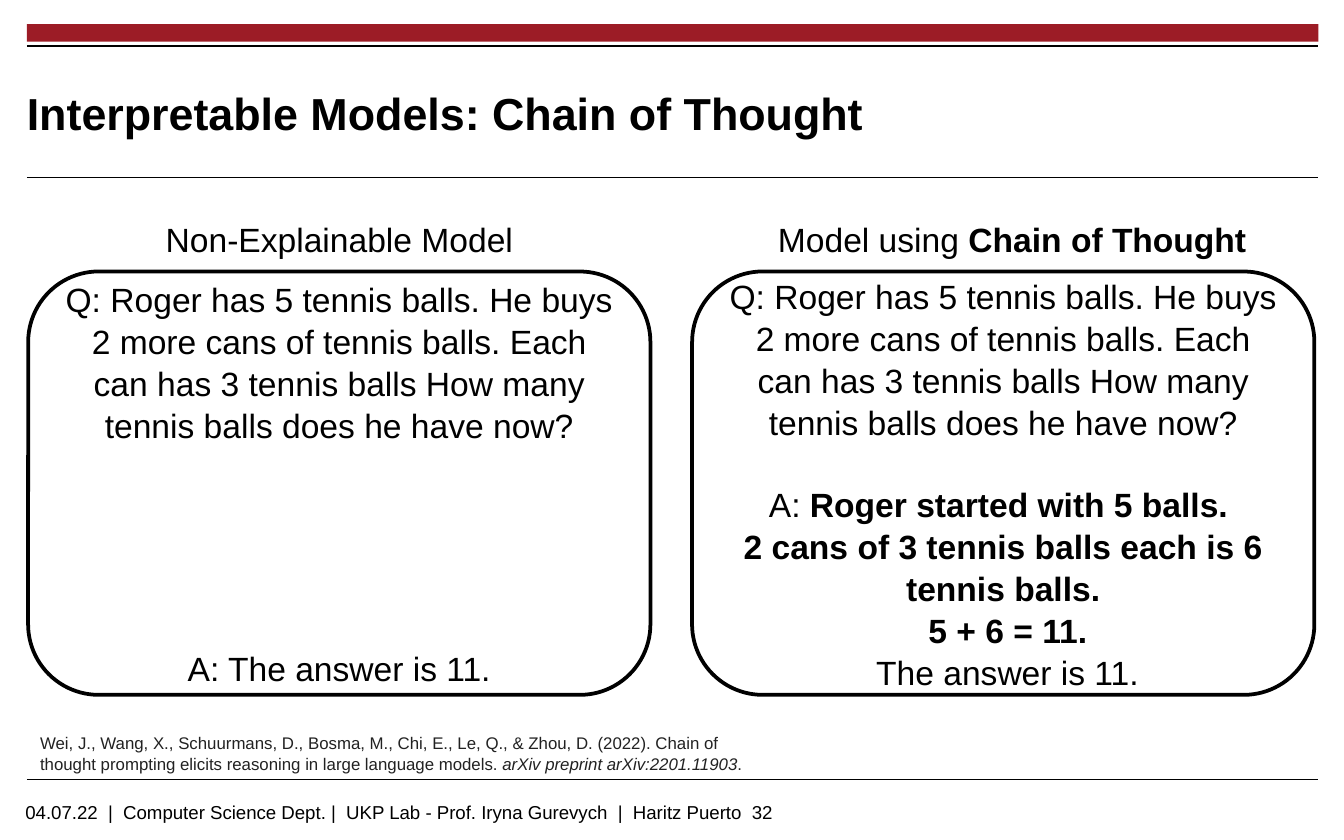
from pptx import Presentation
from pptx.dml.color import RGBColor
from pptx.enum.shapes import MSO_CONNECTOR, MSO_SHAPE
from pptx.enum.text import MSO_ANCHOR, PP_ALIGN
from pptx.oxml.ns import qn
from pptx.util import Pt
from lxml import etree

RECT = MSO_SHAPE.RECTANGLE
ROUND = MSO_SHAPE.ROUNDED_RECTANGLE
LINE = MSO_CONNECTOR.STRAIGHT
TOP, MID = MSO_ANCHOR.TOP, MSO_ANCHOR.MIDDLE
LEFT, MIDDLE = PP_ALIGN.LEFT, PP_ALIGN.CENTER

PX = 9144
THEME = {
    "font": "Arial", "red": "9C1C26", "ink": "000000", "gray": "222222",
    "white": "FFFFFF", "title": 24, "body": 18, "foot": 10, "cite": 9,
    "lead": 1.04, "row": 21.6,
}


def color(name):
    return RGBColor.from_string(THEME[name])


def write(shape, paras, size="body", ink="ink", align=LEFT, anchor=TOP, wrap=True, pad=(10, 5)):
    frame = shape.text_frame
    frame.word_wrap = wrap
    frame.vertical_anchor = anchor
    frame.margin_left = frame.margin_right = pad[0] * PX
    frame.margin_top = frame.margin_bottom = pad[1] * PX
    for i, (gap, runs) in enumerate(paras):
        para = frame.paragraphs[0] if i == 0 else frame.add_paragraph()
        para.alignment = align
        para.line_spacing = THEME["lead"]
        if gap:
            para.space_before = Pt(gap * THEME["row"])
        for text, style in runs:
            run = para.add_run()
            run.text = text
            font = run.font
            font.name = THEME["font"]
            font.size = Pt(THEME[size])
            font.color.rgb = color(ink)
            font.bold = style == "b"
            font.italic = style == "i"


deck = Presentation()
deck.slide_width, deck.slide_height = 1000 * PX, 625 * PX
slide = deck.slides.add_slide(deck.slide_layouts[6])
shapes = slide.shapes

bar = shapes.add_shape(RECT, 20 * PX, 18 * PX, 961 * PX, 13 * PX)
bar.shadow.inherit = False
bar.fill.solid()
bar.fill.fore_color.rgb = color("red")
bar.line.fill.background()

for y, width in ((34, 1.2), (132, 0.6), (580, 0.6)):
    rule = shapes.add_connector(LINE, 20 * PX, y * PX, 981 * PX, y * PX)
    rule.line.color.rgb = color("ink")
    rule.line.width = Pt(width)
    etree.SubElement(rule._element.spPr, qn("a:effectLst"))

ask = (0, [("Q: Roger has 5 tennis balls. He buys 2 more cans of tennis balls. "
            "Each can has 3 tennis balls How many tennis balls does he have now?", "")])
plain = [ask, (5, [("A: The answer is 11.", "")])]
chain = [
    ask,
    (1, [("A: ", ""), ("Roger started with 5 balls. ", "b")]),
    (0, [("2 cans of 3 tennis balls each is 6 tennis balls.", "b")]),
    (0, [(" ", ""), ("5 + 6 = 11.", "b")]),
    (0, [(" The answer is 11.", "")]),
]
for x, paras in ((21, plain), (515, chain)):
    card = shapes.add_shape(ROUND, x * PX, 202 * PX, 463 * PX, 315 * PX)
    card.shadow.inherit = False
    card.fill.solid()
    card.fill.fore_color.rgb = color("white")
    card.line.color.rgb = color("ink")
    card.line.width = Pt(2)
    write(card, paras, align=MIDDLE, anchor=MID)

cite = [
    ("Wei, J., Wang, X., Schuurmans, D., Bosma, M., Chi, E., Le, Q., & Zhou, D. (2022). "
     "Chain of thought prompting elicits reasoning in large language models. ", ""),
    ("arXiv preprint arXiv:2201.11903", "i"),
    (".", ""),
]
foot = "04.07.22  |  Computer Science Dept. |  UKP Lab - Prof. Iryna Gurevych  |  Haritz Puerto  32"
boxes = [
    ((20, 45, 746, 76), [("Interpretable Models: Chain of Thought", "b")],
     {"size": "title", "anchor": MID, "pad": (0, 0)}),
    ((112, 157, 281, 40), [("Non-Explainable Model", "")], {"align": MIDDLE, "wrap": False}),
    ((569, 157, 372, 40), [("Model using ", ""), ("Chain of Thought", "b")], {"wrap": False}),
    ((20, 540, 543, 40), cite, {"size": "cite", "ink": "gray"}),
    ((9, 590, 795, 21), [(foot, "")], {"size": "foot"}),
]
for place, runs, form in boxes:
    box = shapes.add_textbox(*(n * PX for n in place))
    write(box, [(0, runs)], **form)

deck.save("out.pptx")
